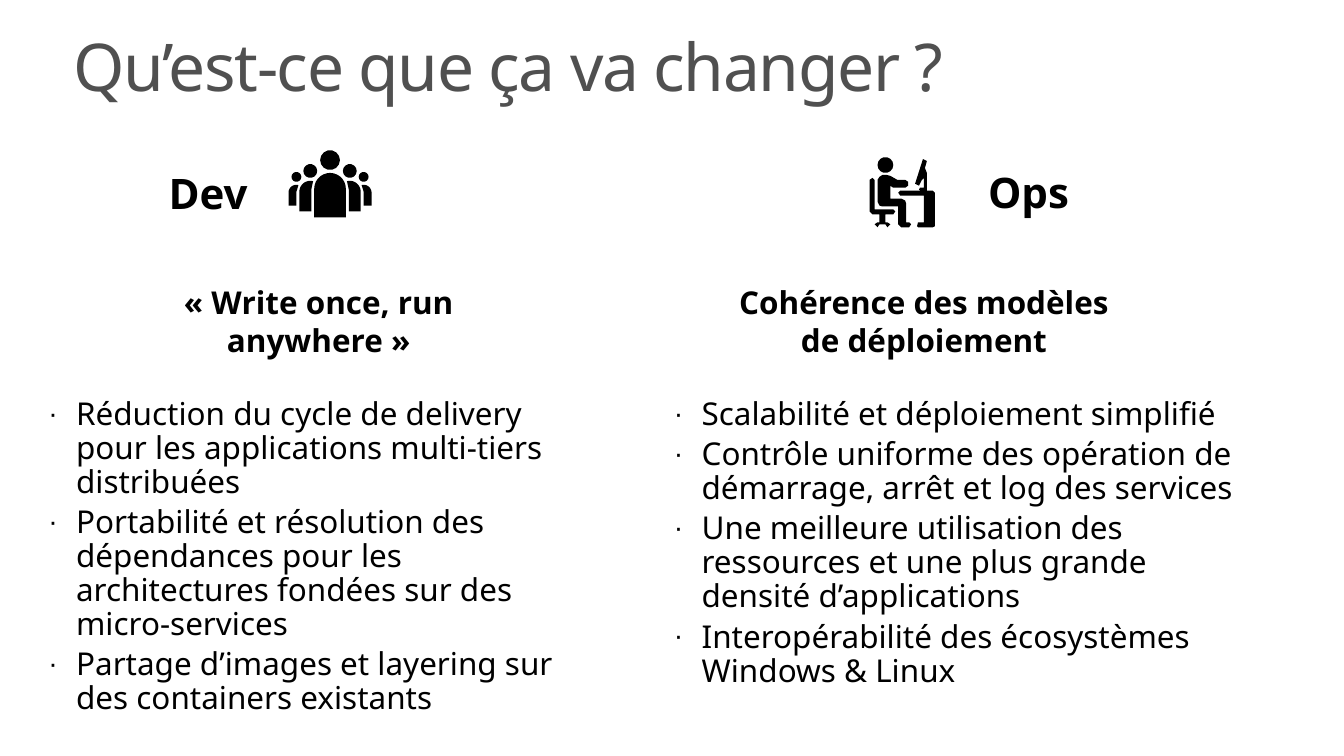
from math import cos, radians, sin

from lxml import etree
from pptx import Presentation
from pptx.dml import color
from pptx.enum import text
from pptx.oxml import ns
from pptx.util import Inches, Pt

FONT, BLACK, GREY = "Noto Sans", "000000", "505050"
TITLE = "Qu’est-ce que ça va changer ?"
CENTER, LEFT = text.PP_ALIGN.CENTER, text.PP_ALIGN.LEFT

TEAMS = [
    {
        "name": ("Dev", (1.09, 1.65, 2.03, 0.61), CENTER),
        "promise": ("«\u00a0Write once, run anywhere\u00a0»", (1.68, 2.8, 3.09, 0.9)),
        "benefits": [
            "Réduction du cycle de delivery pour les applications multi-tiers distribuées",
            "Portabilité et résolution des dépendances pour les architectures fondées sur des micro-services",
            "Partage d’images et layering sur des containers existants",
        ],
        "benefits_box": (0.29, 3.87, 5.86, 2.93),
    },
    {
        "name": ("Ops", (9.9, 1.64, 1.04, 0.61), LEFT),
        "promise": ("Cohérence des modèles de déploiement", (7.27, 2.8, 4.16, 0.9)),
        "benefits": [
            "Scalabilité et déploiement simplifié",
            "Contrôle uniforme des opération de démarrage, arrêt et log des services",
            "Une meilleure utilisation des ressources et une plus grande densité d’applications",
            "Interopérabilité des écosystèmes Windows & Linux",
        ],
        "benefits_box": (6.62, 3.87, 6.1, 3.34),
    },
]

CROWD_AXIS = 3.34
LEADER_HEAD = (CROWD_AXIS, 1.62, 0.1)
LEADER_SHOULDERS = (CROWD_AXIS, 1.91, 0.16)
LEADER_FEET = [(3.5, 2.2), (3.18, 2.2)]
LEFT_HEADS = [(3.14, 1.73, 0.07), (3, 1.79, 0.05)]
LEFT_BODIES = [
    ((3.14, 1.94, 0.11), [(3.15, 1.92), (3.15, 2.14), (3.03, 2.14)]),
    ((3, 1.95, 0.08), [(3, 1.94), (3, 2.08), (2.92, 2.08)]),
]
WORKER_HEAD = (8.96, 1.67, 0.08)
WORKER = [
    (8.88, 1.82), (8.9, 1.79), (8.93, 1.77), (8.97, 1.77), (9.01, 1.78), (9.08, 1.82),
    (9.16, 1.82), (9.19, 1.84), (9.19, 1.88), (9.16, 1.9), (9.04, 1.9), (9.01, 1.88),
    (9.01, 2.01), (9.12, 2.01), (9.16, 2.03), (9.17, 2.06), (9.17, 2.25), (9.2, 2.25),
    (9.22, 2.27), (9.2, 2.3), (9.12, 2.3), (9.09, 2.27), (9.09, 2.09), (8.93, 2.09),
    (8.9, 2.08), (8.88, 2.04),
]
CHAIR = [
    (8.8, 1.82), (8.83, 1.8), (8.85, 1.82), (8.85, 2.12), (9.04, 2.12), (9.06, 2.14),
    (9.04, 2.17), (8.96, 2.17), (8.96, 2.25), (8.98, 2.25), (9.01, 2.27), (8.98, 2.3),
    (8.96, 2.27), (8.9, 2.27), (8.88, 2.3), (8.85, 2.27), (8.88, 2.25), (8.9, 2.25),
    (8.9, 2.17), (8.83, 2.17), (8.8, 2.14),
]
DESK = [
    (9.46, 1.95), (9.44, 1.93), (9.38, 1.93), (9.38, 1.75), (9.36, 1.7), (9.38, 1.63),
    (9.34, 1.61), (9.26, 1.86), (9.3, 1.88), (9.33, 1.82), (9.35, 1.8), (9.35, 1.9),
    (9.31, 1.9), (9.3, 1.92), (9.32, 1.93), (9.11, 1.93), (9.09, 1.95), (9.11, 1.98),
    (9.35, 1.98), (9.35, 2.25), (9.29, 2.25), (9.28, 2.29), (9.29, 2.3), (9.44, 2.3),
    (9.46, 2.29),
]


def rgb(value):
    """Return the colour for a hex string."""
    return color.RGBColor.from_string(value)


def arc(x, y, radius, start=0, end=360, steps=14):
    """Return points along a circular arc given in degrees."""
    angles = [radians(start + (end - start) * i / steps) for i in range(steps + 1)]
    return [(x + radius * cos(a), y + radius * sin(a)) for a in angles]


def mirror(outline):
    """Reflect an outline across the middle of the crowd."""
    return [(2 * CROWD_AXIS - x, y) for x, y in outline]


def draw_icon(outlines):
    """Draw separate outlines as one black freeform."""
    first, *others = [[(Inches(x), Inches(y)) for x, y in o] for o in outlines]
    pen = slide.shapes.build_freeform(*first[0])
    pen.add_line_segments(first[1:], close=True)
    for outline in others:
        pen.move_to(*outline[0])
        pen.add_line_segments(outline[1:], close=True)
    icon = pen.convert_to_shape()
    icon.fill.solid()
    icon.fill.fore_color.rgb = rgb(BLACK)
    icon.line.fill.background()
    icon.shadow.inherit = False


def place(holder, box):
    """Move a shape to a box in inches."""
    holder.left, holder.top, holder.width, holder.height = map(Inches, box)


def prepare(frame, across, down, anchor):
    """Set wrapping, insets and anchor of a text frame."""
    frame.word_wrap = True
    frame.auto_size = text.MSO_AUTO_SIZE.NONE
    frame.vertical_anchor = anchor
    frame.margin_left = frame.margin_right = Inches(across)
    frame.margin_top = frame.margin_bottom = Inches(down)


def write(paragraph, words, size, ink=BLACK, bold=False, align=LEFT):
    """Add one formatted run to a paragraph."""
    paragraph.alignment = align
    run = paragraph.add_run()
    run.text = words
    run.font.name, run.font.size, run.font.bold = FONT, Pt(size), bold
    run.font.color.rgb = rgb(ink)
    return run


def add_label(words, box, size, align, anchor):
    """Add a bold text box."""
    label = slide.shapes.add_textbox(*map(Inches, box))
    prepare(label.text_frame, 0.1, 0.05, anchor)
    write(label.text_frame.paragraphs[0], words, size, bold=True, align=align)


def fill_list(holder, items, box):
    """Fill a body placeholder with bulleted items."""
    place(holder, box)
    frame = holder.text_frame
    prepare(frame, 0.2, 0.16, text.MSO_ANCHOR.TOP)
    for i, item in enumerate(items):
        paragraph = frame.add_paragraph() if i else frame.paragraphs[0]
        paragraph.line_spacing = 0.9
        write(paragraph, item, 22.9)
        props = paragraph._p.get_or_add_pPr()
        props.set("marL", str(Inches(0.28)))
        props.set("indent", str(-Inches(0.28)))
        etree.SubElement(props, ns.qn("a:buSzPct"), val="90000")
        etree.SubElement(props, ns.qn("a:buChar"), char="·")


deck = Presentation()
deck.slide_width, deck.slide_height = Inches(13.6), Inches(7.65)
slide = deck.slides.add_slide(deck.slide_layouts.get_by_name("Two Content"))
title, *lists = slide.placeholders

place(title, (0.58, 0.25, 12.44, 0.84))
prepare(title.text_frame, 0.16, 0.1, text.MSO_ANCHOR.TOP)
heading = title.text_frame.paragraphs[0]
heading.line_spacing = 0.9
write(heading, TITLE, 48, GREY).font._element.set("spc", "-100")

for team, holder in zip(TEAMS, lists):
    name, name_box, name_align = team["name"]
    add_label(name, name_box, 30.6, name_align, text.MSO_ANCHOR.TOP)
    add_label(*team["promise"], 22.9, CENTER, text.MSO_ANCHOR.MIDDLE)
    fill_list(holder, team["benefits"], team["benefits_box"])

left_crowd = [arc(*head) for head in LEFT_HEADS]
left_crowd += [arc(*shoulders, 180, 285) + side for shoulders, side in LEFT_BODIES]
leader = [arc(*LEADER_HEAD), arc(*LEADER_SHOULDERS, 180, 360) + LEADER_FEET]
draw_icon(leader + left_crowd + [mirror(outline) for outline in left_crowd])
draw_icon([arc(*WORKER_HEAD), WORKER, CHAIR, DESK])

deck.save("out.pptx")
